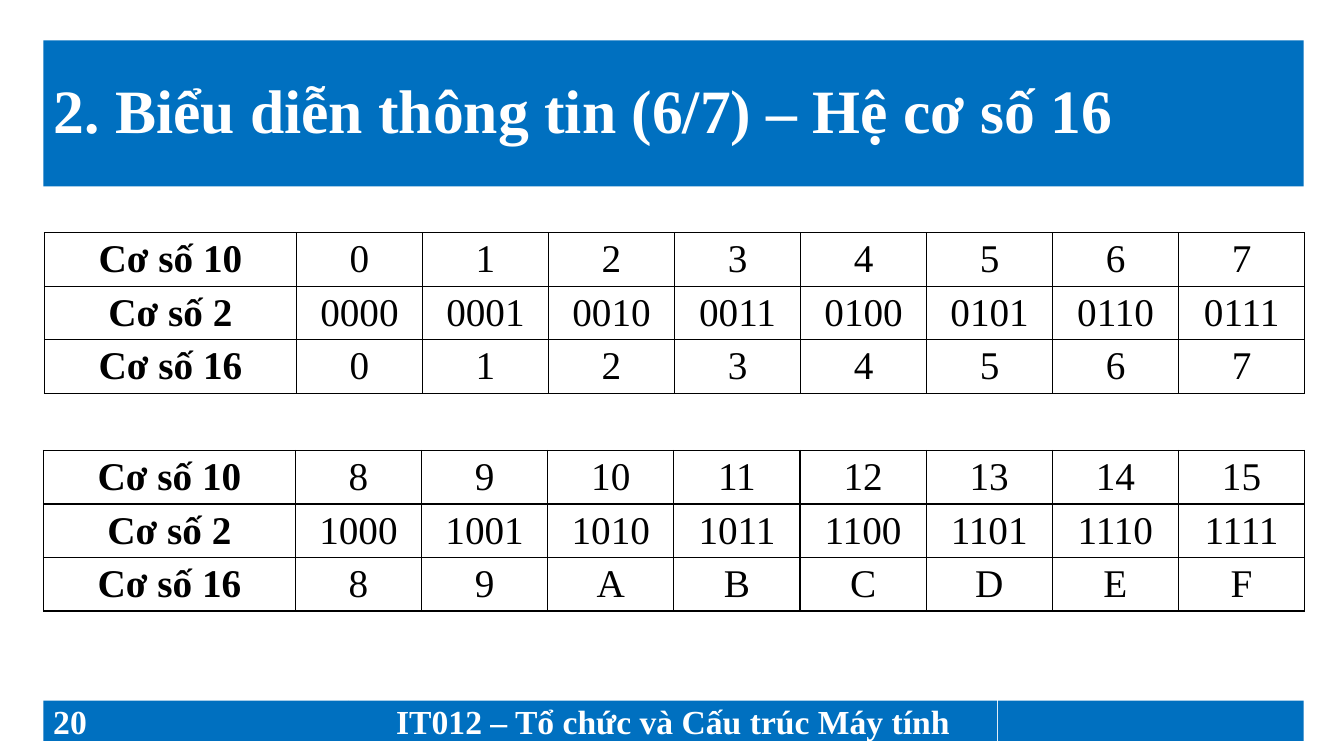
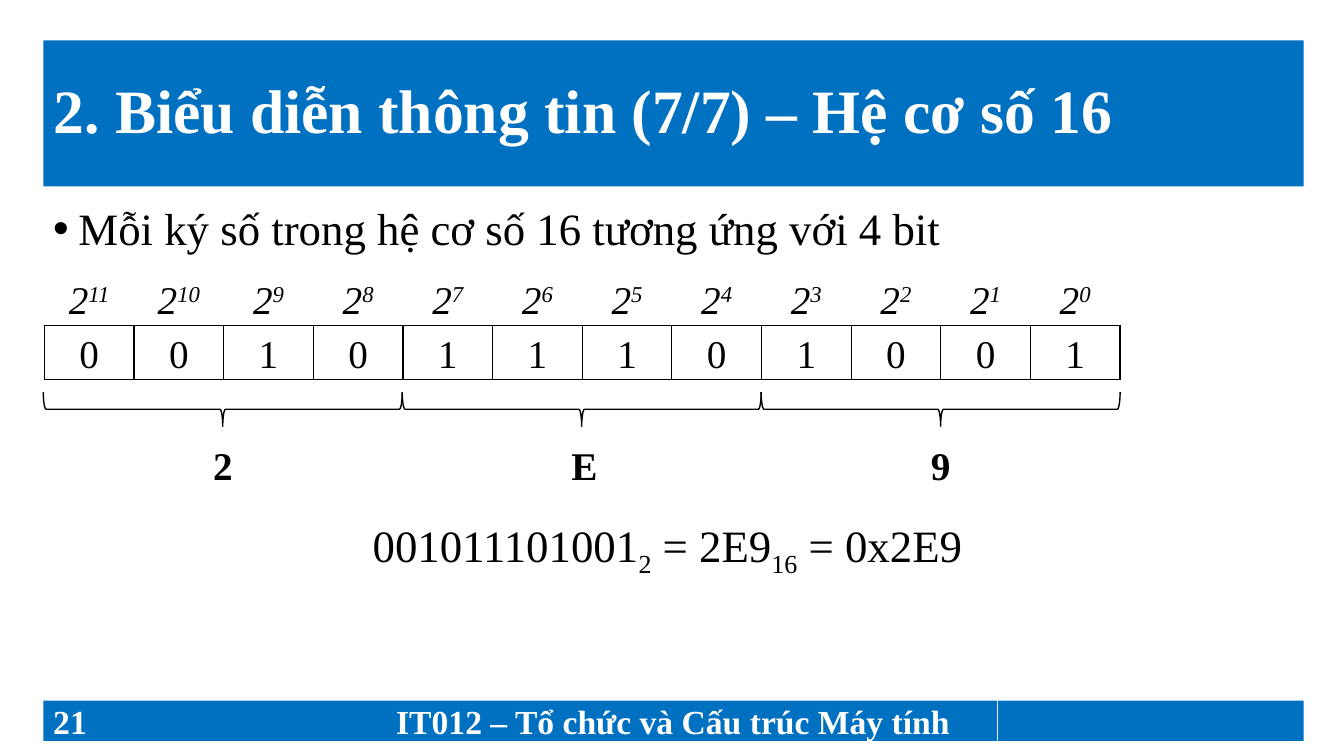
from lxml.etree import SubElement, fromstring
from pptx import Presentation
from pptx.dml.color import RGBColor
from pptx.enum.shapes import MSO_SHAPE as Shape
from pptx.enum.text import MSO_ANCHOR as Anchor, MSO_AUTO_SIZE as AutoSize, PP_ALIGN as Align
from pptx.oxml.ns import qn
from pptx.util import Inches, Pt

BLUE = RGBColor(0x00, 0x70, 0xC0)
WHITE = RGBColor(0xFF, 0xFF, 0xFF)
BLACK = RGBColor(0x00, 0x00, 0x00)
FONT = "Times New Roman"
PLAIN_TABLE = "{2D5ABB26-0587-4C30-8999-92F81FD0307C}"
DRAWING = "http://schemas.openxmlformats.org/drawingml/2006/main"
BORDER = (
    f'<a:{{}} xmlns:a="{DRAWING}" w="12700">'
    f'<a:solidFill><a:srgbClr val="{BLACK}"/></a:solidFill></a:{{}}>'
)

LEFT, WIDTH = 0.43, 12.5
FOOTER_TOP, FOOTER_HEIGHT = 6.95, 0.4
COURSE = "IT012 – Tổ chức và Cấu trúc Máy tính"
TITLE = "2. Biểu diễn thông tin ({}/7) – Hệ cơ số 16"

ROW_HEIGHT = 0.53
LABEL_WIDTH = 2.5
NUMBER_TABLES = [(0.44, 2.31, 12.5, range(8)), (0.43, 4.47, 12.51, range(8, 16))]
BASES = [("Cơ số 10", "d"), ("Cơ số 2", "04b"), ("Cơ số 16", "X")]

BULLET = "Mỗi ký số trong hệ cơ số 16 tương ứng với 4 bit"
BITS = "001011101001"
HEX_DIGITS = "2E9"
EQUATION = [(BITS, 0), ("2", -25), (f" = {HEX_DIGITS}", 0), ("16", -25), (f" = 0x{HEX_DIGITS}", 0)]
BITS_LEFT, BITS_TOP, BITS_WIDTH = 0.44, 2.69, 10.67
BIT_WIDTH = BITS_WIDTH / len(BITS)
BIT_TABLES = [(2, len(BITS)), (0, 2)]
BRACE_DEPTH, BRACE_SPAN, BRACE_MIDDLE = 0.34, 3.56, 4.06
HEX_TOP, HEX_WIDTH, HEX_HEIGHT = 4.33, 0.4, 0.57


def write(frame, spans, size, color=BLACK, bold=False, italic=False, align=Align.LEFT):
    para = frame.paragraphs[0]
    para.alignment = align
    for text, baseline in spans:
        span = para.add_run()
        span.text = text
        font = span.font
        font.name, font.size, font.bold, font.italic = FONT, Pt(size), bold, italic
        font.color.rgb = color
        if baseline:
            font._element.set("baseline", str(baseline * 1000))
    return para


def add_text(page, left, top, width, height, spans, size, wrap=True, **style):
    box = page.shapes.add_textbox(Inches(left), Inches(top), Inches(width), Inches(height))
    box.text_frame.word_wrap = wrap
    return write(box.text_frame, spans, size, **style)


def add_band(page, left, width, text, align):
    band = page.shapes.add_shape(
        Shape.RECTANGLE, Inches(left), Inches(FOOTER_TOP), Inches(width), Inches(FOOTER_HEIGHT)
    )
    band.shadow.inherit = False
    band.fill.solid()
    band.fill.fore_color.rgb = BLUE
    band.line.fill.background()
    band.text_frame.vertical_anchor = Anchor.MIDDLE
    if text:
        write(band.text_frame, [(text, 0)], 24, WHITE, bold=True, align=align)


def add_page(deck, part, number):
    page = deck.slides.add_slide(deck.slide_layouts[5])
    title = page.shapes.title
    title.left, title.top = Inches(LEFT), Inches(0.4)
    title.width, title.height = Inches(WIDTH), Inches(1.45)
    title.fill.solid()
    title.fill.fore_color.rgb = BLUE
    frame = title.text_frame
    frame.auto_size = AutoSize.NONE
    frame.vertical_anchor = Anchor.MIDDLE
    write(frame, [(TITLE.format(part), 0)], 44, WHITE, bold=True).line_spacing = 0.9

    for left, width, text, align in [
        (LEFT, 3.03, str(number), Align.LEFT),
        (3.46, 6.43, COURSE, Align.CENTER),
        (9.9, 3.03, "", Align.LEFT),
    ]:
        add_band(page, left, width, text, align)
    return page


def add_plain_table(page, left, top, widths, row_count):
    table = page.shapes.add_table(
        row_count, len(widths), Inches(left), Inches(top),
        Inches(sum(widths)), Inches(row_count * ROW_HEIGHT),
    ).table
    table.first_row = table.horz_banding = False
    table._tbl.tblPr.find(qn("a:tableStyleId")).text = PLAIN_TABLE
    for column, width in zip(table.columns, widths):
        column.width = Inches(width)
    for row in table.rows:
        row.height = Inches(ROW_HEIGHT)
    return table


def set_borders(cell, sides):
    cell.fill.background()
    properties = cell._tc.get_or_add_tcPr()
    for position, side in enumerate(sides):
        tag = "ln" + side
        properties.insert(position, fromstring(BORDER.format(tag, tag)))


def add_number_table(page, left, top, width, numbers):
    digit_width = (width - LABEL_WIDTH) / len(numbers)
    widths = [LABEL_WIDTH] + [digit_width] * len(numbers)
    table = add_plain_table(page, left, top, widths, len(BASES))
    for row, (label, style) in enumerate(BASES):
        texts = [label] + [format(number, style) for number in numbers]
        for column, text in enumerate(texts):
            cell = table.cell(row, column)
            set_borders(cell, "LRTB")
            write(cell.text_frame, [(text, 0)], 28, bold=column == 0, align=Align.CENTER)


def add_bit_table(page, first, end):
    left = BITS_LEFT + first * BIT_WIDTH
    table = add_plain_table(page, left, BITS_TOP, [BIT_WIDTH] * (end - first), 2)
    for column, bit in enumerate(BITS[first:end]):
        power = str(len(BITS) - 1 - first - column)
        rows = [([("2", 0), (power, 30)], "B", True), ([(bit, 0)], "LRTB", False)]
        for row, (spans, sides, italic) in enumerate(rows):
            cell = table.cell(row, column)
            set_borders(cell, sides)
            cell.vertical_anchor = Anchor.MIDDLE
            cell.margin_left = cell.margin_right = Inches(0.07)
            cell.margin_top = cell.margin_bottom = 0
            para = write(cell.text_frame, spans, 28, italic=italic, align=Align.CENTER)
            para.line_spacing = 1.15
            para.space_before = Pt(6)


def add_hex_digits(page):
    for index, digit in enumerate(HEX_DIGITS):
        center = LEFT + (index + 0.5) * BRACE_SPAN
        brace = page.shapes.add_shape(
            Shape.LEFT_BRACE, Inches(center - BRACE_DEPTH / 2),
            Inches(BRACE_MIDDLE - BRACE_SPAN / 2), Inches(BRACE_DEPTH), Inches(BRACE_SPAN),
        )
        brace.rotation = 270
        brace.shadow.inherit = False
        brace.fill.background()
        brace.line.color.rgb = BLACK
        brace.line.width = Pt(1)
        add_text(page, center - HEX_WIDTH / 2, HEX_TOP, HEX_WIDTH, HEX_HEIGHT,
                 [(digit, 0)], 28, wrap=False, bold=True, align=Align.CENTER)


def add_bullet(page):
    para = add_text(page, LEFT, 2, WIDTH, 0.6, [(BULLET, 0)], 32)
    para.line_spacing = 0.9
    properties = para._p.get_or_add_pPr()
    properties.set("marL", str(Inches(0.25)))
    properties.set("indent", str(Inches(-0.25)))
    SubElement(properties, qn("a:buFont")).set("typeface", "Arial")
    SubElement(properties, qn("a:buChar")).set("char", "•")


def main():
    deck = Presentation()
    deck.slide_width, deck.slide_height = Inches(13.33), Inches(7.5)

    page = add_page(deck, 6, 20)
    for left, top, width, numbers in NUMBER_TABLES:
        add_number_table(page, left, top, width, numbers)

    page = add_page(deck, 7, 21)
    add_bullet(page)
    for first, end in BIT_TABLES:
        add_bit_table(page, first, end)
    add_hex_digits(page)
    equation = add_text(page, LEFT, 5.09, 12.38, 0.6, EQUATION, 32, align=Align.CENTER)
    equation.line_spacing = 0.9

    deck.save("out.pptx")


if __name__ == "__main__":
    main()
